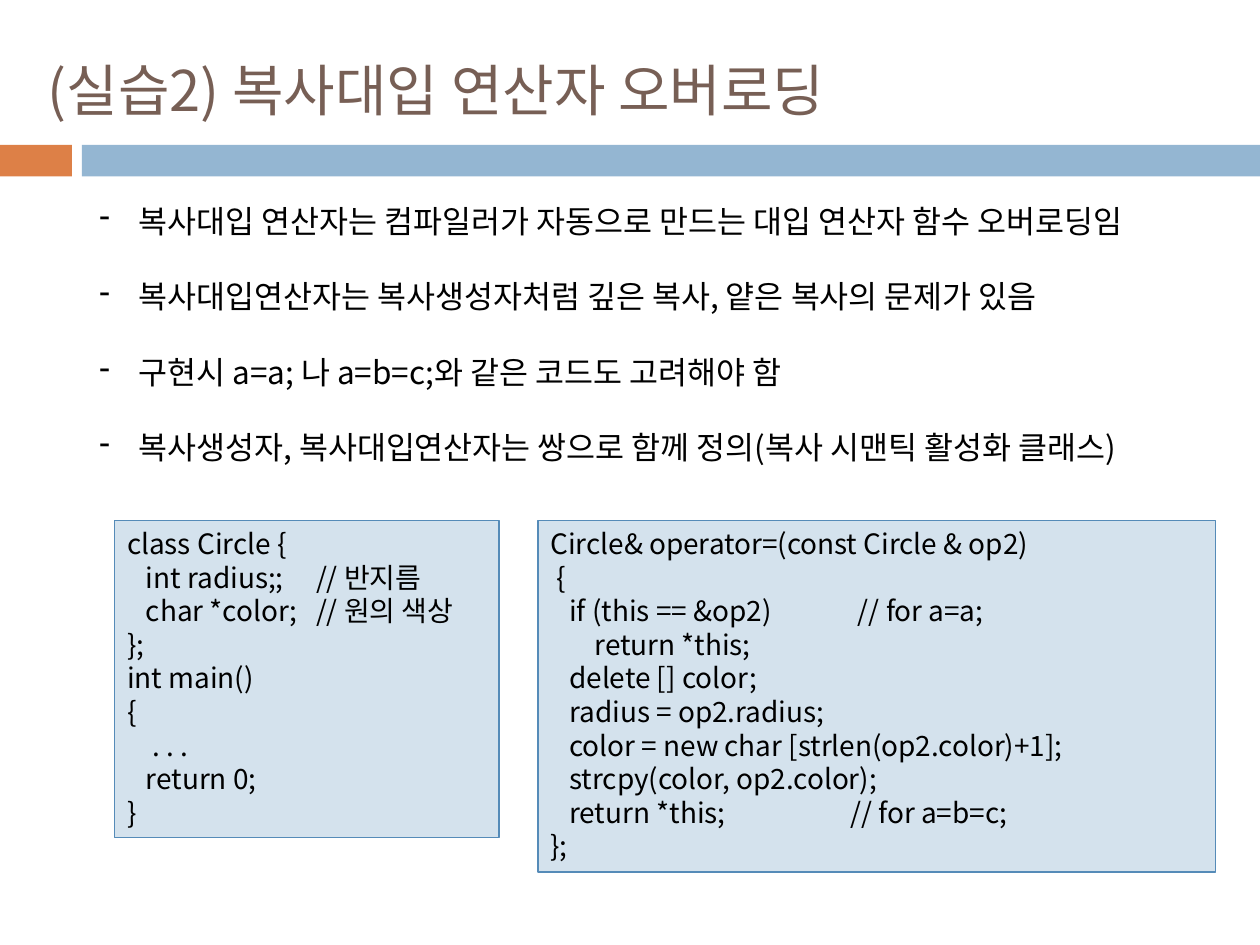
from dataclasses import dataclass

from pptx import Presentation
from pptx import util as u
from pptx.dml.color import RGBColor
from pptx.enum import shapes, text
from pptx.oxml.ns import qn
from lxml import etree


@dataclass(frozen=True)
class Theme:
    """Colours, font and type sizes of the slide."""
    font: str = "Noto Sans CJK KR"
    title: str = "775F55"
    body: str = "000000"
    accent: str = "DD8047"
    band: str = "94B6D2"
    code_fill: str = "D4E2ED"
    code_line: str = "558BB8"
    title_size: float = 32
    body_size: float = 18
    code_size: float = 16
    leading: float = 1.2


THEME = Theme()

POINTS = [
    "복사대입 연산자는 컴파일러가 자동으로 만드는 대입 연산자 함수 오버로딩임",
    "복사대입연산자는 복사생성자처럼 깊은 복사, 얕은 복사의 문제가 있음",
    "구현시 a=a; 나 a=b=c;와 같은 코드도 고려해야 함",
    "복사생성자, 복사대입연산자는 쌍으로 함께 정의(복사 시맨틱 활성화 클래스)",
]

# Each code line is its text followed by the tab stops it uses, in inches.
CLASS_CODE = [
    ("class Circle {",),
    ("\tint radius;;\t// 반지름", 0.15, 1.5),
    ("\tchar *color;\t// 원의 색상", 0.15, 1.5),
    ("};",),
    ("int main()",),
    ("{",),
    ("\t. . .", 0.2),
    ("\treturn 0;", 0.15),
    ("}",),
]
OPERATOR_CODE = [
    ("Circle& operator=(const Circle & op2)",),
    ("\t{", 0.05),
    ("\tif (this == &op2)\t// for a=a;", 0.15, 2.44),
    ("\treturn *this;", 0.35),
    ("\tdelete [] color;", 0.15),
    ("\tradius = op2.radius;", 0.15),
    ("\tcolor = new char [strlen(op2.color)+1];", 0.15),
    ("\tstrcpy(color, op2.color);", 0.15),
    ("\treturn *this;\t// for a=b=c;", 0.15, 2.38),
    ("};",),
]


def box(at):
    """Turn left, top, width, height in inches into lengths."""
    return [u.Inches(v) for v in at]


def style(p, size, color):
    """Set the font of a paragraph, for Latin and Korean text alike."""
    p.alignment = text.PP_ALIGN.LEFT
    p.font.size = u.Pt(size)
    p.font.name = THEME.font
    p.font.color.rgb = RGBColor.from_string(color)
    latin = p.font._element.find(qn("a:latin"))
    ea = etree.Element(qn("a:ea"), typeface=THEME.font)
    latin.addnext(ea)


def add_paragraphs(tf, lines, size, color):
    """Fill a text frame with one styled paragraph a line."""
    tf.word_wrap = True
    for i, line in enumerate(lines):
        p = tf.paragraphs[0] if i == 0 else tf.add_paragraph()
        p.text = line
        style(p, size, color)
    return tf.paragraphs


def add_rect(s, at, fill, line=None):
    """Add a plain rectangle, outlined if a line colour is given."""
    sp = s.shapes.add_shape(shapes.MSO_SHAPE.RECTANGLE, *box(at))
    sp.shadow.inherit = False
    sp.fill.solid()
    sp.fill.fore_color.rgb = RGBColor.from_string(fill)
    if line:
        sp.line.color.rgb = RGBColor.from_string(line)
        sp.line.width = u.Pt(0.75)
    else:
        sp.line.fill.background()
    return sp


def add_title(s, at, title):
    """Add the heading, centred vertically in its box."""
    tf = s.shapes.add_textbox(*box(at)).text_frame
    tf.vertical_anchor = text.MSO_ANCHOR.MIDDLE
    add_paragraphs(tf, [title], THEME.title_size, THEME.title)


def add_bullets(s, at, points):
    """Add a dash list with one empty line's height between points."""
    tf = s.shapes.add_textbox(*box(at)).text_frame
    pitch = u.Pt(THEME.body_size * THEME.leading)
    for p in add_paragraphs(tf, points, THEME.body_size, THEME.body):
        p.line_spacing = pitch
        p.space_after = pitch
        pPr = p._p.get_or_add_pPr()
        pPr.set("marL", str(u.Inches(0.31)))
        pPr.set("indent", str(-u.Inches(0.31)))
        bullet = etree.Element(qn("a:buChar"), char="-")
        pPr.find(qn("a:defRPr")).addprevious(bullet)


def add_code(s, at, code):
    """Add a code panel whose indents and comments sit on tab stops."""
    sp = add_rect(s, at, THEME.code_fill, THEME.code_line)
    tf = sp.text_frame
    tf.vertical_anchor = text.MSO_ANCHOR.TOP
    lines = [line for line, *_ in code]
    paragraphs = add_paragraphs(tf, lines, THEME.code_size, THEME.body)
    for p, (_, *stops) in zip(paragraphs, code):
        p.line_spacing = u.Pt(THEME.code_size * THEME.leading)
        if stops:
            tabs = etree.Element(qn("a:tabLst"))
            for stop in stops:
                etree.SubElement(tabs, qn("a:tab"), pos=str(u.Inches(stop)), algn="l")
            p._p.get_or_add_pPr().find(qn("a:defRPr")).addprevious(tabs)


def main():
    """Build the slide and save it."""
    prs = Presentation()
    prs.slide_width, prs.slide_height = u.Inches(10), u.Inches(7.5)
    s = prs.slides.add_slide(prs.slide_layouts[6])
    add_rect(s, (-0.01, 1.15, 0.58, 0.25), THEME.accent)
    add_rect(s, (0.65, 1.15, 9.35, 0.25), THEME.band)
    add_title(s, (0.28, 0.17, 9, 1.08), "(실습2) 복사대입 연산자 오버로딩")
    add_bullets(s, (0.69, 1.55, 9.27, 2.52), POINTS)
    add_code(s, (0.91, 4.13, 3.05, 2.52), CLASS_CODE)
    add_code(s, (4.27, 4.13, 5.38, 2.79), OPERATOR_CODE)
    prs.save("out.pptx")


main()
